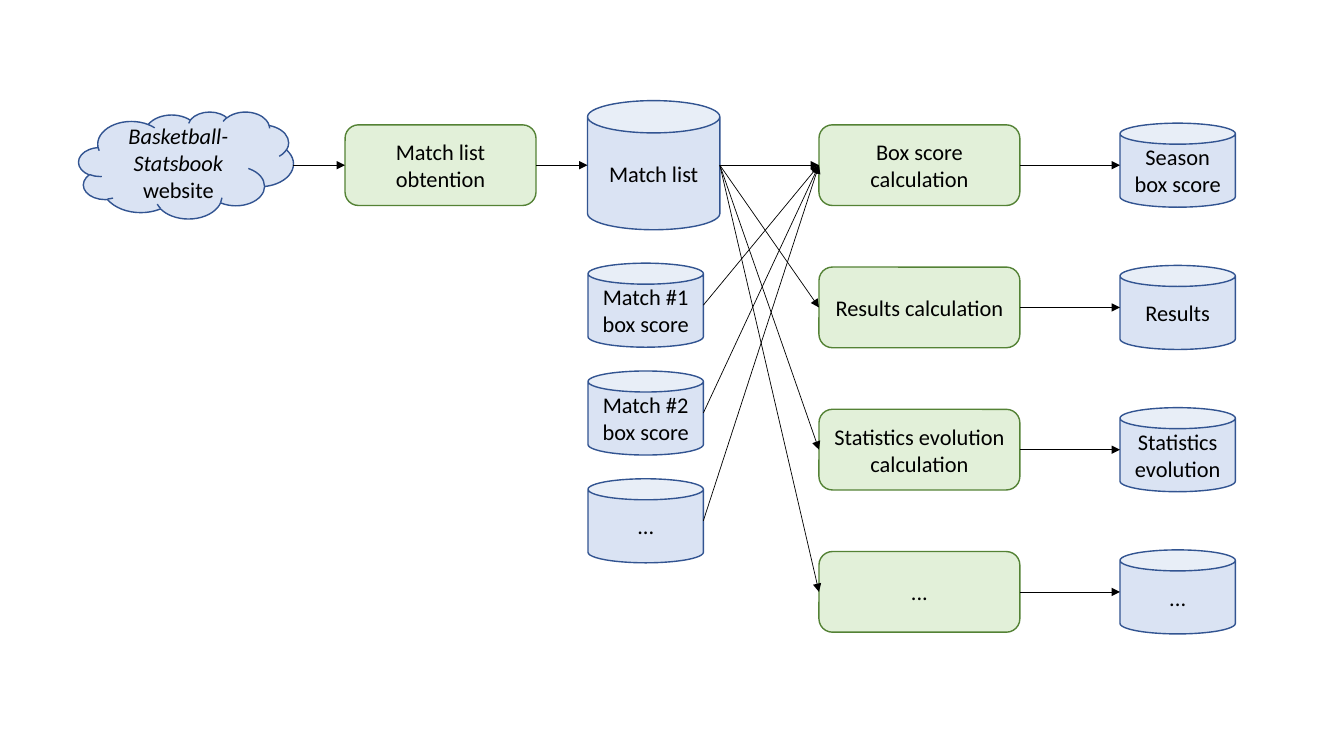
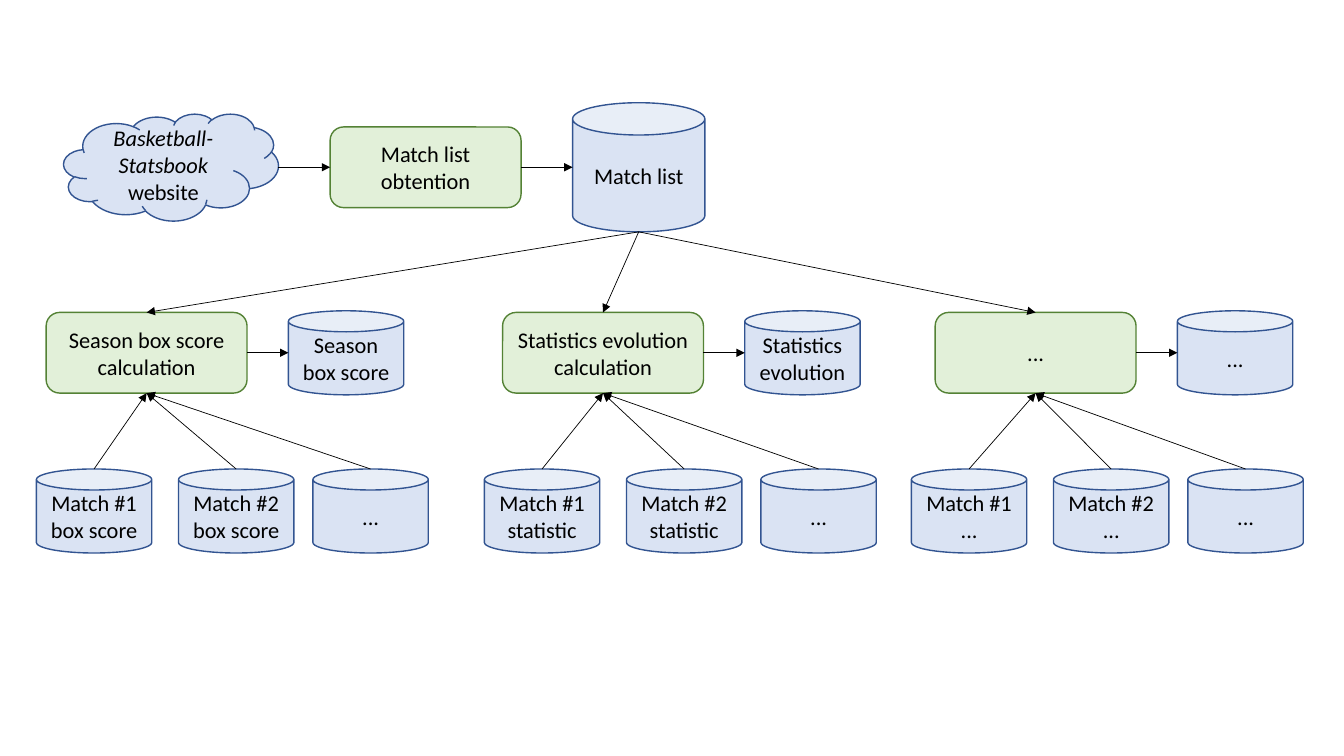
from lxml import etree
from pptx import Presentation
from pptx.dml.color import RGBColor
from pptx.enum.shapes import MSO_CONNECTOR, MSO_SHAPE
from pptx.enum.text import MSO_ANCHOR, PP_ALIGN
from pptx.oxml.ns import qn
from pptx.util import Pt

BOX = MSO_SHAPE.ROUNDED_RECTANGLE
CAN = MSO_SHAPE.CAN
CLOUD = MSO_SHAPE.CLOUD
LINE = MSO_CONNECTOR.STRAIGHT
MIDDLE = MSO_ANCHOR.MIDDLE
CENTER = PP_ALIGN.CENTER
TOP, LEFT, BOTTOM, RIGHT = range(4)

COLORS = {
    "data": "DAE3F3", "data edge": "325491",
    "step": "E2F0D9", "step edge": "548235",
    "ink": "000000",
}


def color(name):
    return RGBColor.from_string(COLORS[name])


def middle(shape, side):
    """Point at the middle of one side of a shape."""
    x = {LEFT: shape.left, RIGHT: shape.left + shape.width}
    y = {TOP: shape.top, BOTTOM: shape.top + shape.height}
    return (x.get(side, shape.left + shape.width // 2),
            y.get(side, shape.top + shape.height // 2))


class Flow:
    """Style and current slide of the flow charts."""
    font, size = "Calibri", 16

    def __init__(self):
        self.deck = Presentation()
        self.deck.slide_width, self.deck.slide_height = Pt(960), Pt(540)

    def page(self):
        self.slide = self.deck.slides.add_slide(self.deck.slide_layouts[6])

    def node(self, kind, role, x, mid, w, h, text, slant=False):
        """Shape centred on height mid; slant sets its first line in italics."""
        shape = self.slide.shapes.add_shape(
            kind, Pt(x), Pt(mid - h / 2), Pt(w), Pt(h))
        shape.shadow.inherit = False
        shape.fill.solid()
        shape.fill.fore_color.rgb = color(role)
        shape.line.color.rgb = color(role + " edge")
        shape.line.width = Pt(1)
        frame = shape.text_frame
        frame.word_wrap = True
        frame.vertical_anchor = MIDDLE
        for i, line in enumerate(text.split("\n")):
            para = frame.add_paragraph() if i else frame.paragraphs[0]
            para.alignment = CENTER
            run = para.add_run()
            run.text = line
            run.font.name, run.font.size = self.font, Pt(self.size)
            run.font.color.rgb = color("ink")
            run.font.italic = slant and i == 0
        return shape

    def step(self, x, mid, text, w=143.5):
        return self.node(BOX, "step", x, mid, w, 57.6, text)

    def store(self, x, mid, text, w=82.4, h=60):
        return self.node(CAN, "data", x, mid, w, h, text)

    def cloud(self, x, mid, text):
        return self.node(CLOUD, "data", x, mid, 153.4, 76.4, text, True)

    def arrow(self, start, out, end, into):
        line = self.slide.shapes.add_connector(
            LINE, *middle(start, out), *middle(end, into))
        if start.auto_shape_type == BOX:
            line.begin_connect(start, out)
        if end.auto_shape_type == BOX:
            line.end_connect(end, into)
        line.line.color.rgb = color("ink")
        line.line.width = Pt(0.5)
        props = line.line._get_or_add_ln()
        etree.SubElement(props, qn("a:tailEnd"), type="triangle")
        etree.SubElement(line._element.spPr, qn("a:effectLst"))

    def intake(self, x, mid):
        """Website, step and match list in a row; returns the match list."""
        site = self.cloud(x, mid, "Basketball-Statsbook\nwebsite")
        fetch = self.step(x + 190.3, mid, "Match list obtention", 136.4)
        games = self.store(x + 363.5, mid, "Match list", 94.5, 92.2)
        self.arrow(site, RIGHT, fetch, LEFT)
        self.arrow(fetch, RIGHT, games, LEFT)
        return games


def by_step(flow):
    """One match list feeds every step; the match scores feed the first."""
    flow.page()
    games = flow.intake(56.2, 118)
    rows = [
        ("Box score calculation", "Season\nbox score"),
        ("Results calculation", "Results"),
        ("Statistics evolution calculation", "Statistics evolution"),
        ("...", "..."),
    ]
    steps = []
    for i, (task, result) in enumerate(rows):
        mid = 118 + 101.6 * i
        step = flow.step(585, mid, task)
        flow.arrow(games, RIGHT, step, LEFT)
        flow.arrow(step, RIGHT, flow.store(800, mid, result), LEFT)
        steps.append(step)
    for i, text in enumerate(["Match #1\nbox score", "Match #2\nbox score", "..."]):
        score = flow.store(420, 218 + 77 * i, text)
        flow.arrow(score, RIGHT, steps[0], LEFT)


def by_group(flow):
    """Each step has its own match data below it."""
    flow.page()
    games = flow.intake(45.5, 119.5)
    groups = [
        (33, 26, "Season box score calculation", "Season\nbox score", "box score"),
        (359, 346, "Statistics evolution calculation", "Statistics evolution",
         "statistic"),
        (668, 651, "...", "...", "..."),
    ]
    for left, base, task, result, unit in groups:
        step = flow.step(left, 252, task)
        flow.arrow(games, BOTTOM, step, TOP)
        flow.arrow(step, RIGHT, flow.store(left + 173, 252, result), LEFT)
        parts = [(0, "Match #1\n" + unit), (101.5, "Match #2\n" + unit), (197.5, "...")]
        for shift, text in parts:
            flow.arrow(flow.store(base + shift, 365, text), TOP, step, BOTTOM)


def main():
    flow = Flow()
    by_step(flow)
    by_group(flow)
    flow.deck.save("out.pptx")


if __name__ == "__main__":
    main()
